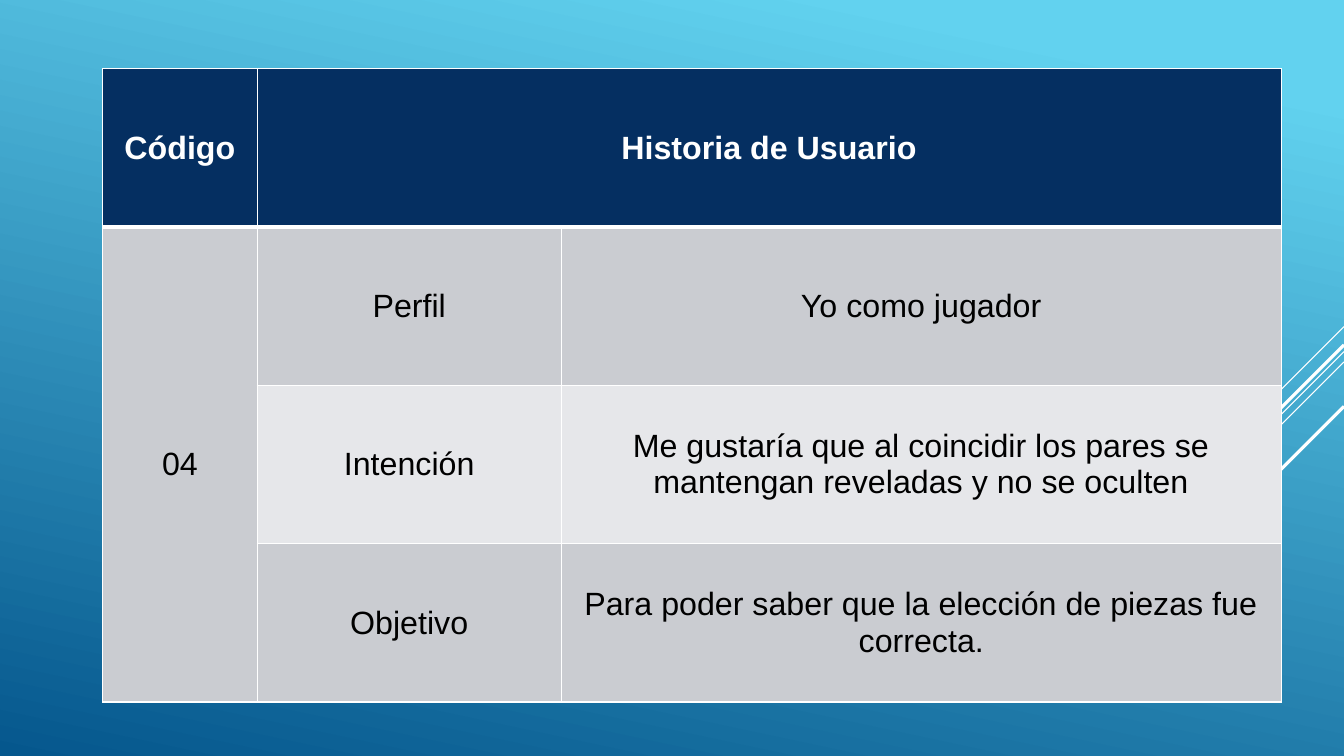
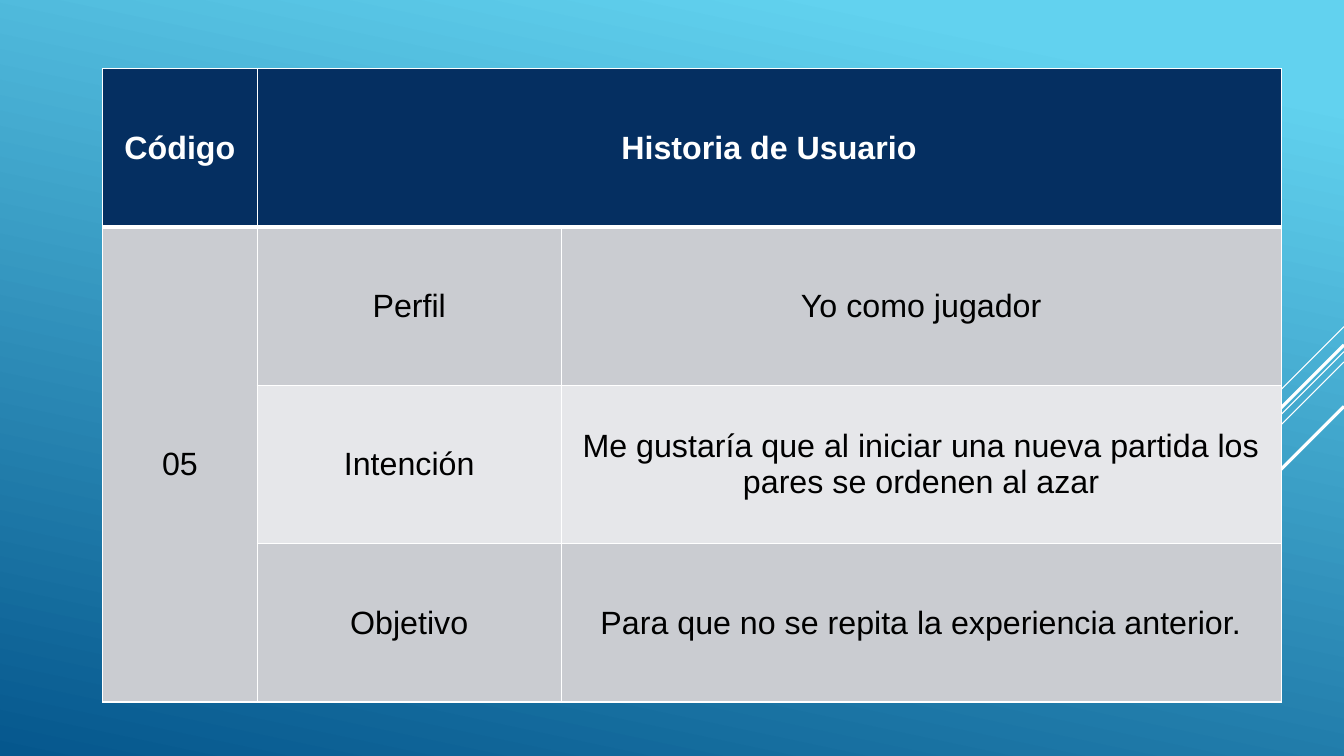
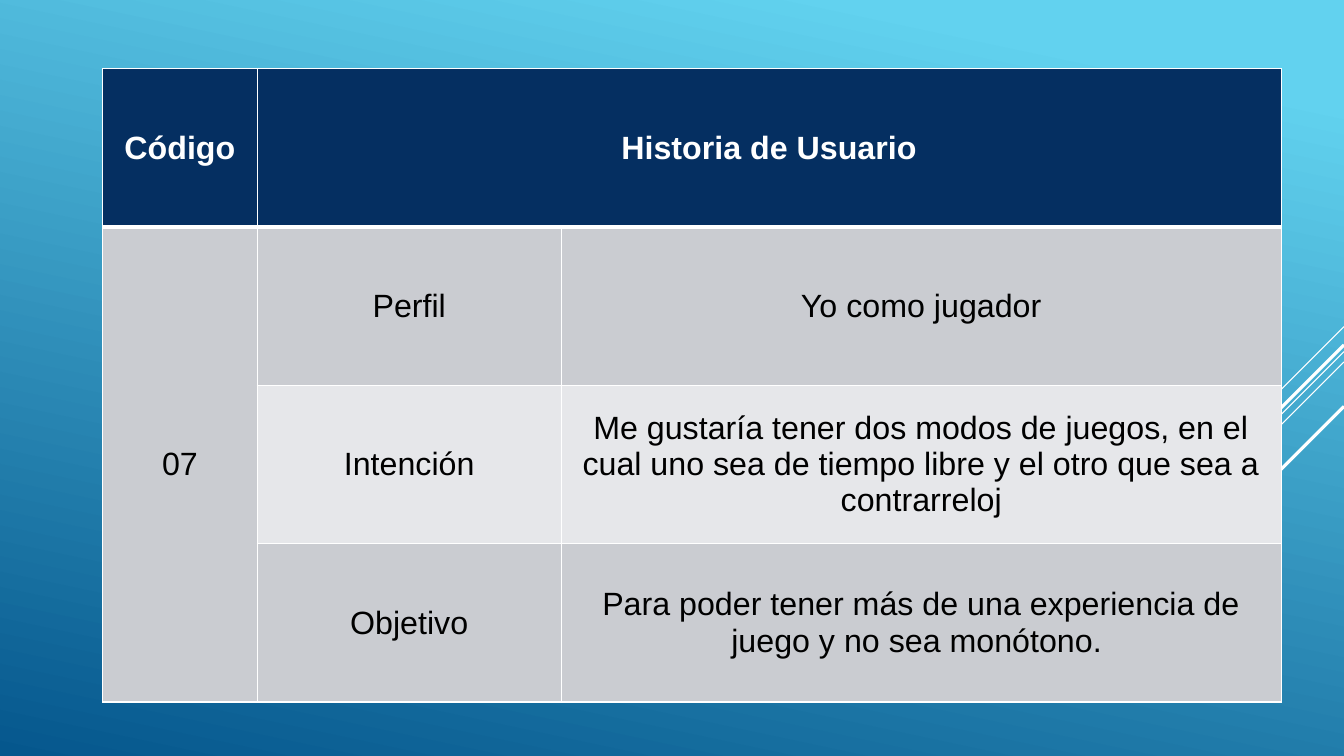
"""Build three user story slides, each with one table on a blue gradient."""
import lxml.etree
import pptx
import pptx.dml.color
import pptx.enum.shapes
import pptx.enum.text
import pptx.oxml.ns
import pptx.util

Cm = pptx.util.Cm
Pt = pptx.util.Pt
RGBColor = pptx.dml.color.RGBColor

HEADERS = ("Código", "Historia de Usuario", "")
LABELS = ("Perfil", "Intención", "Objetivo")
STORIES = (
    ("04", ("Yo como jugador",
            "Me gustaría que al coincidir los pares se mantengan reveladas y no se oculten",
            "Para poder saber que la elección de piezas fue correcta.")),
    ("05", ("Yo como jugador",
            "Me gustaría que al iniciar una nueva partida los pares se ordenen al azar",
            "Para que no se repita la experiencia anterior.")),
    ("07", ("Yo como jugador",
            "Me gustaría tener dos modos de juegos, en el cual uno sea de tiempo libre "
            "y el otro que sea a contrarreloj",
            "Para poder tener más de una experiencia de juego y no sea monótono. ")),
)

SKY = RGBColor(0x62, 0xD2, 0xEF)
DEEP_BLUE = RGBColor(0x05, 0x57, 0x8D)
NAVY = RGBColor(0x05, 0x2F, 0x61)
GREY = RGBColor(0xCA, 0xCC, 0xD1)
PALE_GREY = RGBColor(0xE6, 0xE7, 0xEA)
WHITE = RGBColor(0xFF, 0xFF, 0xFF)
BLACK = RGBColor(0, 0, 0)

FONT = "Arial"
TEXT_SIZE = Pt(23)
SLIDE_WIDTH, SLIDE_HEIGHT = Cm(33.87), Cm(19.05)
TABLE_LEFT, TABLE_TOP = Cm(2.59), Cm(1.73)
COLUMN_WIDTHS = (Cm(3.89), Cm(7.67), Cm(18.14))
ROW_HEIGHT = Cm(3.99)
THIN_BORDER, THICK_BORDER = Pt(1), Pt(3)

DIAGONALS = (
    (Cm(8.23), Cm(2.54), Pt(0.75)),
    (Cm(8.86), Cm(8.28), Pt(0.75)),
    (Cm(9.12), Cm(5.27), Pt(0.75)),
    (Cm(8.69), Cm(4.85), Pt(2.25)),
    (Cm(10.24), Cm(3.53), Pt(2.25)),
)


def paint_background(master):
    fill = master.background.fill
    fill.gradient()
    fill.gradient_angle = 360 - 102
    for stop, color, position in zip(fill.gradient_stops, (SKY, DEEP_BLUE), (0.1, 1)):
        stop.color.rgb = color
        stop.position = position


def add_diagonals(slide):
    for top, reach, width in DIAGONALS:
        connector = slide.shapes.add_connector(
            pptx.enum.shapes.MSO_CONNECTOR.STRAIGHT,
            SLIDE_WIDTH, top, SLIDE_WIDTH - reach, top + reach)
        connector.line.color.rgb = WHITE
        connector.line.width = width
        lxml.etree.SubElement(connector._element.spPr, pptx.oxml.ns.qn("a:effectLst"))


def add_borders(cell, row):
    properties = cell._tc.get_or_add_tcPr()
    thick_side = {0: "B", 1: "T"}.get(row)
    for side in "LRTB":
        width = THICK_BORDER if side == thick_side else THIN_BORDER
        border = lxml.etree.SubElement(
            properties, pptx.oxml.ns.qn(f"a:ln{side}"), w=str(int(width)))
        fill = lxml.etree.SubElement(border, pptx.oxml.ns.qn("a:solidFill"))
        lxml.etree.SubElement(fill, pptx.oxml.ns.qn("a:srgbClr"), val=str(WHITE))


def format_cell(cell, text, row, column):
    is_header = row == 0
    add_borders(cell, row)
    cell.fill.solid()
    if is_header:
        cell.fill.fore_color.rgb = NAVY
    else:
        cell.fill.fore_color.rgb = PALE_GREY if row == 2 and column > 0 else GREY
    cell.vertical_anchor = pptx.enum.text.MSO_ANCHOR.MIDDLE
    cell.text_frame.text = text
    paragraph = cell.text_frame.paragraphs[0]
    paragraph.alignment = pptx.enum.text.PP_ALIGN.CENTER
    paragraph.font.size = TEXT_SIZE
    for run in paragraph.runs:
        run.font.name = FONT
        run.font.size = TEXT_SIZE
        run.font.bold = is_header
        run.font.color.rgb = WHITE if is_header else BLACK


def add_story_table(slide, code, answers):
    codes = (code, "", "")
    rows = [HEADERS, *zip(codes, LABELS, answers)]
    table = slide.shapes.add_table(
        len(rows), len(COLUMN_WIDTHS), TABLE_LEFT, TABLE_TOP,
        sum(COLUMN_WIDTHS), ROW_HEIGHT * len(rows)).table
    for column, width in zip(table.columns, COLUMN_WIDTHS):
        column.width = width
    for row_index, texts in enumerate(rows):
        table.rows[row_index].height = ROW_HEIGHT
        for column_index, text in enumerate(texts):
            format_cell(table.cell(row_index, column_index), text, row_index, column_index)
    table.cell(0, 1).merge(table.cell(0, 2))
    table.cell(1, 0).merge(table.cell(3, 0))


def main():
    presentation = pptx.Presentation()
    presentation.slide_width = SLIDE_WIDTH
    presentation.slide_height = SLIDE_HEIGHT
    paint_background(presentation.slide_master)
    for code, answers in STORIES:
        slide = presentation.slides.add_slide(presentation.slide_layouts[6])
        add_diagonals(slide)
        add_story_table(slide, code, answers)
    presentation.save("out.pptx")


if __name__ == "__main__":
    main()
